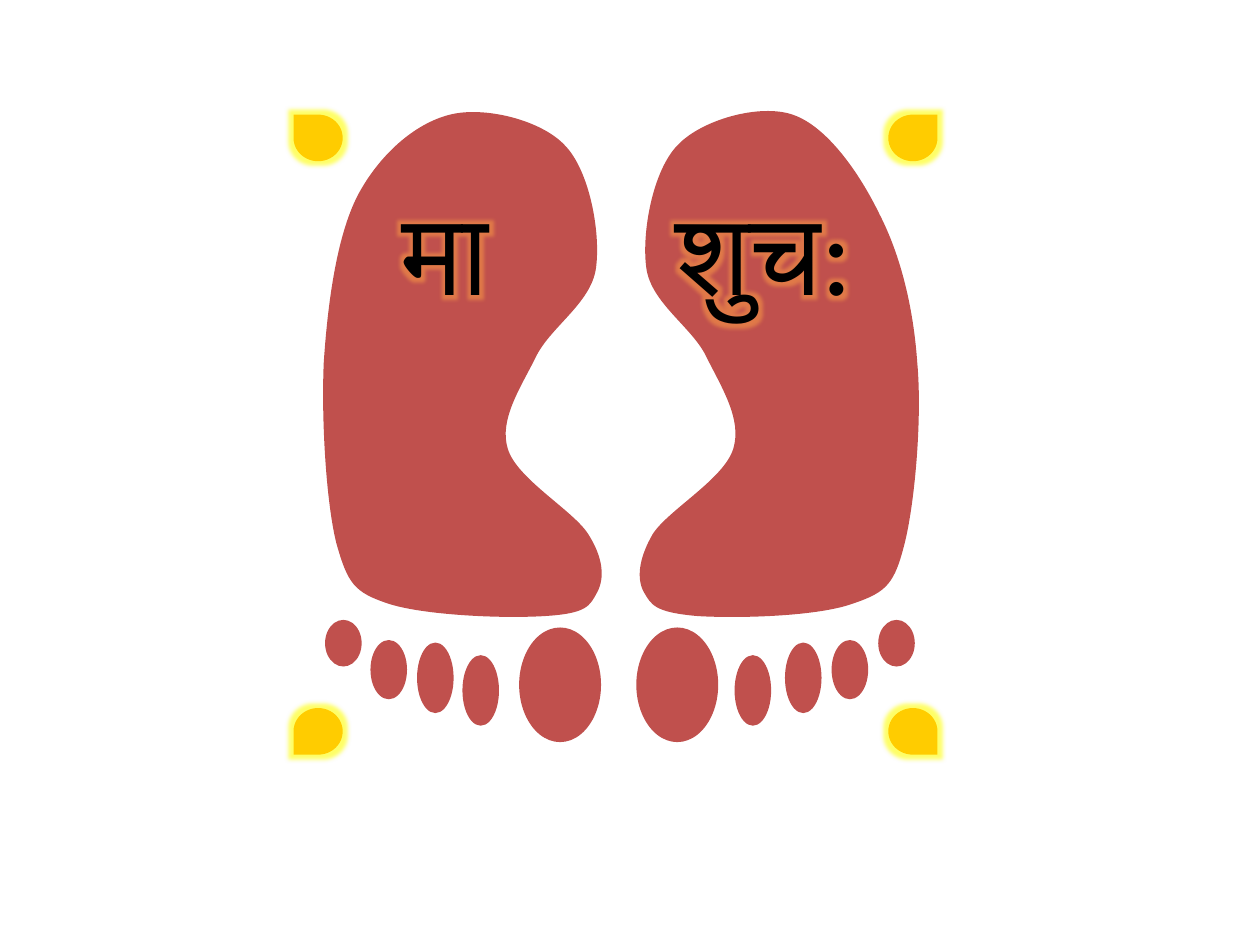
"""Build a slide with a pair of footprints, four glowing drops and two words."""
import math

from lxml import etree
from pptx import Presentation
from pptx import util as u
from pptx.dml.color import RGBColor
from pptx.enum import shapes, text
from pptx.oxml.ns import qn

PX = u.Inches(1) // 100
SOLE, DROP, INK = "C0504D", "FFCC00", "000000"
DROP_GLOW, TEXT_GLOW = "FFFF00", "F79646"

LEFT_SOLE = [
    (267, 431),
    (259, 399), (255, 334), (257, 288),
    (260, 242), (267, 188), (284, 155),
    (301, 123), (329, 98), (357, 91),
    (384, 84), (429, 95), (448, 115),
    (468, 135), (477, 185), (473, 213),
    (469, 241), (436, 260), (425, 284),
    (413, 308), (396, 333), (403, 356),
    (410, 380), (455, 405), (467, 424),
    (479, 443), (480, 459), (474, 470),
    (468, 481), (466, 487), (431, 489),
    (396, 491), (335, 488), (308, 479),
    (281, 470), (276, 463), (267, 431),
]
RIGHT_SOLE = [
    (718, 431),
    (726, 399), (732, 332), (728, 288),
    (725, 245), (715, 203), (698, 170),
    (682, 137), (656, 100), (629, 91),
    (603, 82), (557, 95), (538, 115),
    (518, 135), (509, 185), (513, 213),
    (517, 241), (550, 260), (561, 284),
    (573, 308), (589, 333), (582, 356),
    (575, 380), (530, 405), (518, 424),
    (507, 443), (505, 459), (511, 470),
    (517, 480), (519, 486), (554, 489),
    (589, 491), (650, 489), (677, 479),
    (704, 470), (710, 463), (718, 431),
]
TOES = [
    (412, 505, 498, 65, 91),
    (367, 583, 520, 29, 56),
    (331, 623, 510, 29, 56),
    (294, 660, 508, 29, 47),
    (258, 697, 492, 29, 37),
]


def color(value):
    """Turn a hex string into a colour."""
    return RGBColor.from_string(value)


def add_glow(effects, value, radius):
    """Put a soft glow into an effect list."""
    glow = etree.SubElement(effects, qn("a:glow"), rad=str(u.Pt(radius)))
    tint = etree.SubElement(glow, qn("a:srgbClr"), val=value)
    etree.SubElement(tint, qn("a:alpha"), val="60000")


def add_span(para, content, size, ink, font, glow):
    """Add a formatted span to a paragraph."""
    span = para.add_run()
    span.text = content
    span.font.size = u.Pt(size)
    span.font.color.rgb = color(ink)
    effects = etree.SubElement(span.font._element, qn("a:effectLst"))
    add_glow(effects, glow, 8)
    span.font.name = font


def turn_back(point, center, angle):
    """Undo a clockwise turn of a point about a center."""
    dx, dy = point[0] - center[0], point[1] - center[1]
    cos, sin = math.cos(math.radians(angle)), math.sin(math.radians(angle))
    return center[0] + dx * cos + dy * sin, center[1] - dx * sin + dy * cos


class Painter:
    """Hold the style and the group of the current slide."""

    def __init__(self, page, font="Calibri", size=66):
        """Start a group on the page."""
        self.group = page.shapes.add_group_shape().shapes
        self.font, self.size = font, size

    def paint(self, shape, fill):
        """Give a shape a flat fill without line or shadow."""
        shape.shadow.inherit = False
        shape.fill.solid()
        shape.fill.fore_color.rgb = color(fill)
        shape.line.fill.background()
        return shape

    def preset(self, kind, left, top, width, height, fill):
        """Add a preset shape."""
        frame = [side * PX for side in (left, top, width, height)]
        return self.paint(self.group.add_shape(kind, *frame), fill)

    def sole(self, points, left, top, width, height, angle):
        """Add a turned outline of cubic curves."""
        center = left + width / 2, top + height / 2
        flat = [turn_back(point, center, angle) for point in points]
        builder = self.group.build_freeform(*flat[0], scale=PX)
        builder.add_line_segments(flat[3::3])
        shape = self.paint(builder.convert_to_shape(), SOLE)
        shape.left, shape.top = left * PX, top * PX
        shape.width, shape.height = width * PX, height * PX
        shape.rotation = angle
        outline = next(shape._element.iter(qn("a:path")))
        outline.clear()
        outline.set("w", str(width * PX))
        outline.set("h", str(height * PX))
        steps = [("a:moveTo", flat[:1])]
        steps += [("a:cubicBezTo", flat[i:i + 3]) for i in range(1, len(flat), 3)]
        for tag, stops in steps + [("a:close", [])]:
            step = etree.SubElement(outline, qn(tag))
            for x, y in stops:
                etree.SubElement(step, qn("a:pt"), x=str(round((x - left) * PX)),
                                 y=str(round((y - top) * PX)))

    def drop(self, left, top, **flips):
        """Add a glowing teardrop, flipped as asked."""
        shape = self.preset(shapes.MSO_SHAPE.TEAR, left, top, 39, 37, DROP)
        properties = shape._element.spPr
        for name, flipped in flips.items():
            if flipped:
                properties.find(qn("a:xfrm")).set(name, "1")
        add_glow(properties.find(qn("a:effectLst")), DROP_GLOW, 5)

    def word(self, content, left, top, width, height):
        """Add a glowing word."""
        box = self.group.add_textbox(*[side * PX for side in (left, top, width, height)])
        box.text_frame.word_wrap = True
        box.text_frame.auto_size = text.MSO_AUTO_SIZE.SHAPE_TO_FIT_TEXT
        add_span(box.text_frame.paragraphs[0], content, size=self.size, ink=INK,
                 font=self.font, glow=TEXT_GLOW)


def main():
    """Draw the slide and save the deck."""
    deck = Presentation()
    deck.slide_width, deck.slide_height = 1000 * PX, 750 * PX
    painter = Painter(deck.slides.add_slide(deck.slide_layouts[6]))
    painter.sole(LEFT_SOLE, 257, 89, 229, 399, 3.1)
    painter.sole(RIGHT_SOLE, 499, 88, 229, 401, 357.1)
    for left_foot, right_foot, top, width, height in TOES:
        for left in (left_foot, right_foot):
            painter.preset(shapes.MSO_SHAPE.OVAL, left, top, width, height, SOLE)
    for left in (705, 233):
        for top in (91, 562):
            painter.drop(left, top, flipH=left == 233, flipV=top == 562)
    painter.word("मा", 310, 138, 127, 115)
    painter.word("शुच:", 526, 138, 214, 115)
    deck.save("out.pptx")


if __name__ == "__main__":
    main()
